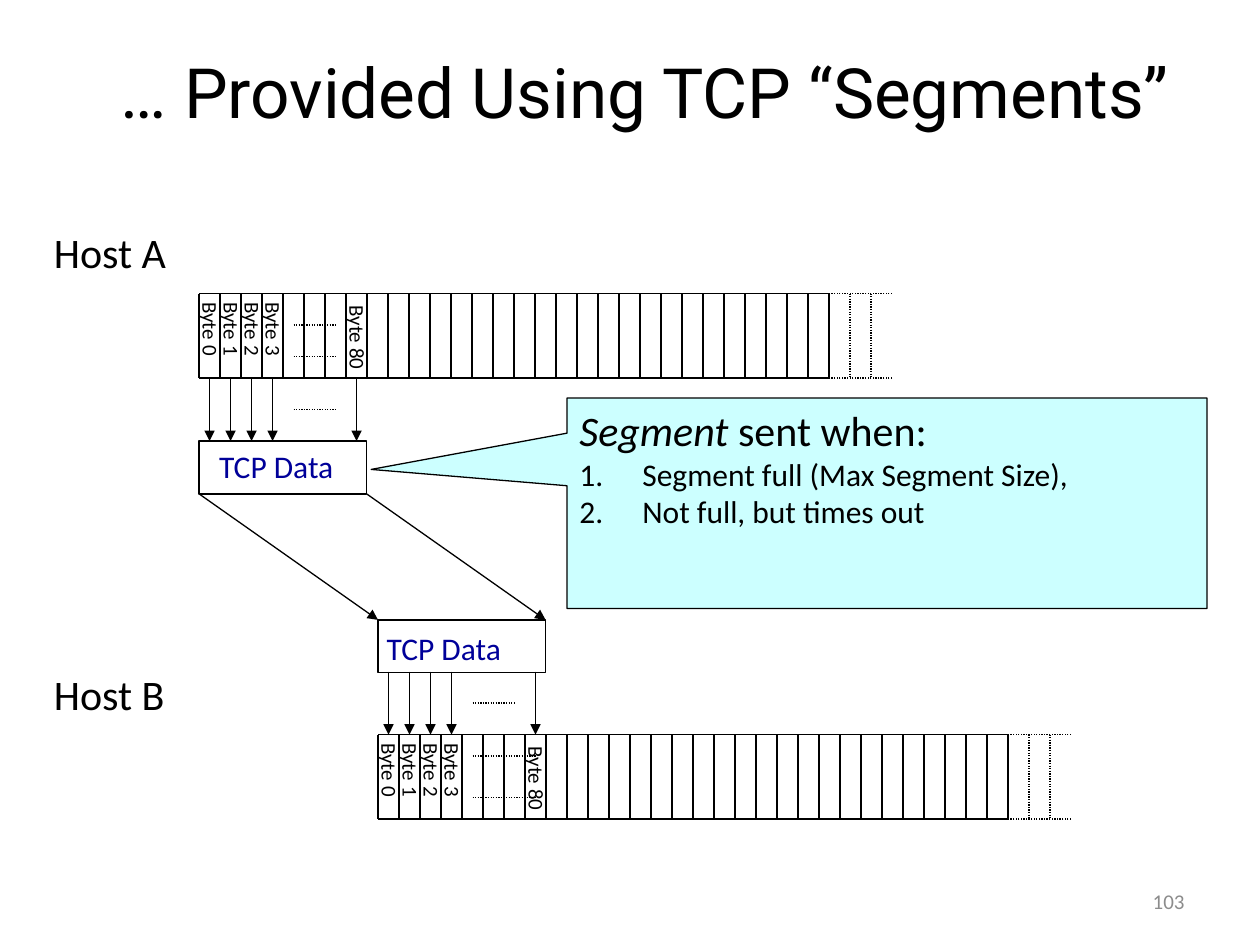
from dataclasses import dataclass

from lxml.etree import SubElement
from pptx import Presentation
from pptx.dml.color import RGBColor as RGB
from pptx.enum.dml import MSO_LINE as Dash
from pptx.enum.shapes import MSO_CONNECTOR as Conn, MSO_SHAPE as Form
from pptx.enum.text import MSO_ANCHOR as Anchor, MSO_AUTO_SIZE as Auto, PP_ALIGN as Align
from pptx.oxml.ns import qn
from pptx.util import Inches, Pt


@dataclass(frozen=True)
class Theme:
    ink: RGB = RGB(0, 0, 0)
    paper: RGB = RGB(255, 255, 255)
    navy: RGB = RGB(0, 0, 0x99)
    aqua: RGB = RGB(0xCC, 255, 255)
    gray: RGB = RGB(0x8C, 0x8C, 0x8C)
    head: str = "Roboto"
    body: str = "Calibri"
    title: float = 39.6
    large: int = 24
    label: int = 18
    small: int = 12
    stroke: float = 0.75


class Board:
    def __init__(self, slide, theme):
        self.slide, self.theme = slide, theme

    def run(self, para, text, size, color=None, font=None, italic=False):
        run = para.add_run()
        run.text = text
        run.font.size = Pt(size)
        run.font.name = font or self.theme.body
        run.font.color.rgb = color or self.theme.ink
        run.font.italic = italic

    def text(self, text, x, y, w, h, size, color=None, font=None,
             align=Align.LEFT, turn=0, wrap=False):
        box = self.slide.shapes.add_textbox(*map(Inches, (x, y, w, h)))
        box.rotation = turn
        frame = box.text_frame
        frame.word_wrap = wrap
        if wrap:
            frame.vertical_anchor = Anchor.MIDDLE
        else:
            frame.auto_size = Auto.SHAPE_TO_FIT_TEXT
        para = frame.paragraphs[0]
        para.alignment = align
        self.run(para, text, size, color, font)

    def line(self, x1, y1, x2, y2, dots=False, arrow=False):
        line = self.slide.shapes.add_connector(
            Conn.STRAIGHT, *map(Inches, (x1, y1, x2, y2)))
        line.line.color.rgb = self.theme.ink
        line.line.width = Pt(self.theme.stroke)
        if dots:
            line.line.dash_style = Dash.ROUND_DOT
        props = line._element.spPr
        if arrow:
            SubElement(props.find(qn("a:ln")), qn("a:tailEnd"), type="triangle")
        SubElement(props, qn("a:effectLst"))

    def shape(self, form, x, y, w, h, fill):
        shape = self.slide.shapes.add_shape(form, *map(Inches, (x, y, w, h)))
        shape.shadow.inherit = False
        shape.fill.solid()
        shape.fill.fore_color.rgb = fill
        shape.line.color.rgb = self.theme.ink
        shape.line.width = Pt(self.theme.stroke)
        return shape

    def item(self, frame, first, number=False):
        para = frame.paragraphs[0] if first else frame.add_paragraph()
        para.alignment = Align.LEFT
        props = para._p.get_or_add_pPr()
        props.set("marL", str(Inches(0.5)))
        props.set("indent", str(Inches(-0.5)))
        if number:
            SubElement(props, qn("a:buAutoNum"), type="arabicPeriod")
        return para

    def stream(self, left, top, dots):
        """Byte strip: solid cells, dotted tail, vertical byte labels."""
        cell, high, count = 1 / 6, 0.67, 30
        end = left + count * cell
        for y in (top, top + high):
            self.line(left, y, end, y)
            self.line(end + 0.5, y, end, y, dots=True)
        for i in range(count + 3):
            x = left + i * cell
            self.line(x, top, x, top + high, dots=i > count)
        for i, name, w, drop in BYTES:
            mid = left + (i + 0.5) * cell + 0.01
            self.text(name, mid - w / 2, top + drop - 0.15, w, 0.3,
                      self.theme.small, turn=89.8)
        for drop, w in dots:
            self.line(left + 0.75, top + drop, left + 0.75 + w, top + drop, dots=True)

    def feed(self, left, top):
        """Arrows moving bytes between a strip and a segment."""
        for i, *_ in BYTES:
            x = left + (i + 0.5) / 6
            self.line(x, top, x, top + 0.5, arrow=True)


# Cell index, label, label length, label centre below the strip top
BYTES = [(i, f"Byte {i}", 0.68, 0.31) for i in range(4)] + [(7, "Byte 80", 0.77, 0.38)]


def main():
    deck = Presentation()
    deck.slide_width, deck.slide_height = Inches(10), Inches(7.5)
    theme = Theme()
    board = Board(deck.slides.add_slide(deck.slide_layouts[6]), theme)

    # Title and host names
    board.text("… Provided Using TCP “Segments”", 0.33, 0.08, 9.58, 1.28,
               theme.title, font=theme.head, align=Align.CENTER, wrap=True)
    board.text("Host A", 0.33, 1.75, 1.2, 0.5, theme.large)
    board.text("Host B", 0.33, 5.26, 1.21, 0.5, theme.large)

    # Byte streams
    ax, bx = 1.58, 3
    board.stream(ax, 2.33, [(0.25, 0.33), (0.5, 0.33), (0.92, 0.33)])
    board.stream(bx, 5.83, [(0.17, 0.5), (0.5, 0.5), (-0.25, 0.33)])

    # Segments
    wide, high, ay, by = 1.33, 0.42, 3.5, 4.92
    for x, y, tx, ty in ((ax, ay, 1.64, 3.5), (bx, by, 2.97, 4.94)):
        board.shape(Form.RECTANGLE, x, y, wide, high, theme.paper)
        board.text("TCP Data", tx, ty, 1.31, 0.4, theme.label, theme.navy)

    # Transfer from host A to host B
    board.feed(ax, 3)
    for shift in (0, wide):
        board.line(ax + shift, ay + high, bx + shift, by, arrow=True)
    board.feed(bx, 5.33)

    # Callout
    note = board.shape(Form.RECTANGULAR_CALLOUT, 4.5, 3.16, 5.08, 1.67, theme.aqua)
    note.adjustments[0], note.adjustments[1] = -0.806, -0.161
    frame = note.text_frame
    frame.word_wrap = True
    frame.vertical_anchor = Anchor.TOP
    para = board.item(frame, True)
    board.run(para, "Segment", theme.large, italic=True)
    board.run(para, " sent when:", theme.large)
    for text in ("Segment full (Max Segment Size),", "Not full, but times out"):
        board.run(board.item(frame, False, number=True), text, theme.label)

    # Page number
    board.text("103", 7.17, 6.95, 2.33, 0.4, theme.small, theme.gray,
               align=Align.RIGHT, wrap=True)
    deck.save("out.pptx")


if __name__ == "__main__":
    main()
